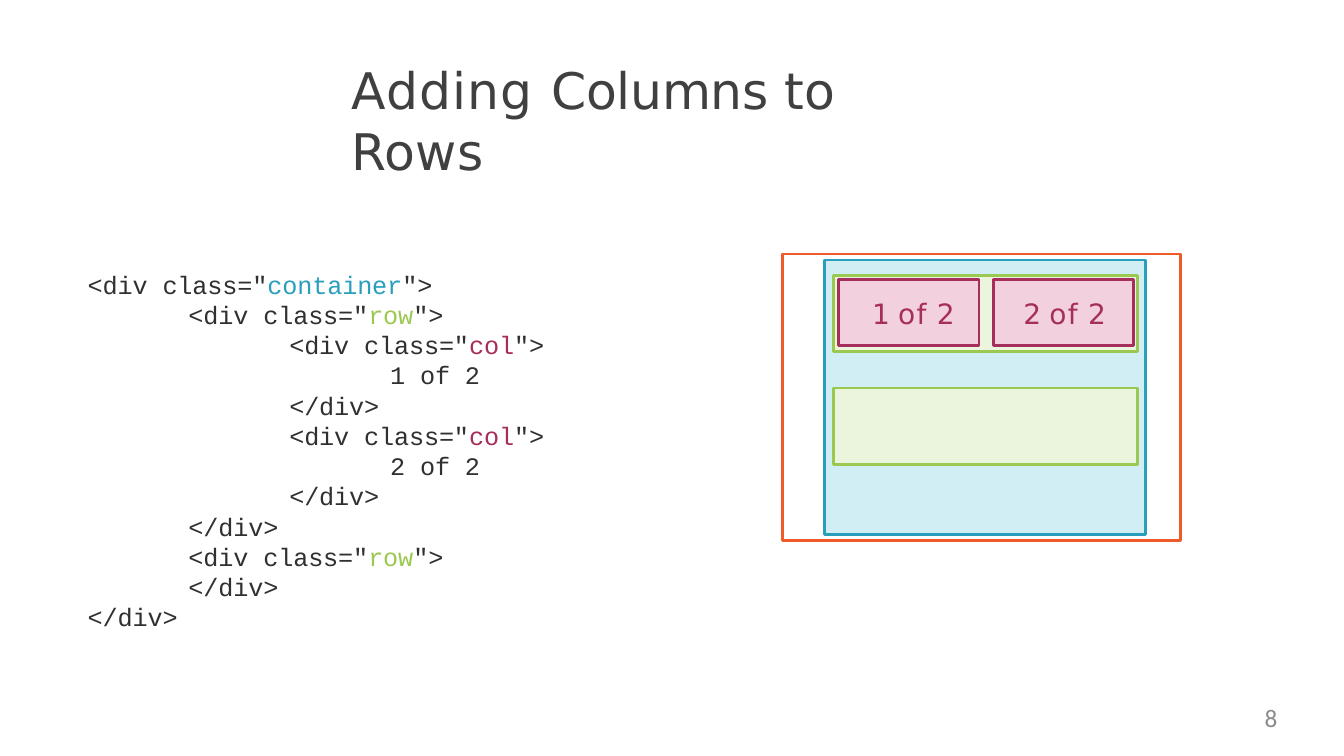
from pptx import Presentation
from pptx.dml.color import RGBColor
from pptx.enum.shapes import MSO_SHAPE
from pptx.enum.text import MSO_ANCHOR, PP_ALIGN
from pptx.util import Pt

RECTANGLE = MSO_SHAPE.RECTANGLE
TOP, MIDDLE = MSO_ANCHOR.TOP, MSO_ANCHOR.MIDDLE
LEFT, RIGHT = PP_ALIGN.LEFT, PP_ALIGN.RIGHT
PX = 9144  # 100 px to the inch

THEME = {
    "title": "404040", "code": "303030", "number": "8C8C8C",
    "page": "F05A28",
    "container": "2A9FBC", "container_fill": "D1EEF5",
    "row": "9BC850", "row_fill": "EBF4DC",
    "col": "A62E5C", "col_fill": "F2D0DD",
    "sans": "DejaVu Sans", "mono": "Courier New", "plain": "Calibri",
    "title_size": 36, "label_size": 20, "code_size": 18, "number_size": 18,
    "code_pitch": 21.6, "outline": 2,
}


def add_run(paragraph, text, font, size, color, spacing=0):
    """Add one styled run; spacing is in points."""
    run = paragraph.add_run()
    run.text = text
    run.font.name = THEME[font]
    run.font.size = Pt(THEME[size])
    run.font.color.rgb = RGBColor.from_string(THEME[color])
    if spacing:
        run.font._element.set("spc", str(round(spacing * 100)))


def set_frame(shape, anchor, left=0, top=0):
    """Prepare a text frame and return its first paragraph."""
    frame = shape.text_frame
    frame.word_wrap = True
    frame.vertical_anchor = anchor
    frame.margin_left, frame.margin_top = left * PX, top * PX
    frame.margin_right = frame.margin_bottom = 0
    paragraph = frame.paragraphs[0]
    paragraph.alignment = LEFT
    return paragraph


presentation = Presentation()
presentation.slide_width, presentation.slide_height = 1333 * PX, 750 * PX
slide = presentation.slides.add_slide(presentation.slide_layouts[6])

# Title
title = slide.shapes.add_textbox(348 * PX, 57 * PX, 615 * PX, 120 * PX)
paragraph = set_frame(title, TOP, left=1, top=2)
for text, spacing in [("Adding ", 0.8), ("Columns ", -0.2), ("to ", 0.4), ("Rows", 0.2)]:
    add_run(paragraph, text, "sans", "title_size", "title", spacing)

# Code listing: nesting level and either a class name or literal text
CODE_LINES = [
    (0, "container", None), (1, "row", None),
    (2, "col", None), (3, None, "1 of 2"), (2, None, "</div>"),
    (2, "col", None), (3, None, "2 of 2"), (2, None, "</div>"),
    (1, None, "</div>"), (1, "row", None), (1, None, "</div>"),
    (0, None, "</div>"),
]
code = slide.shapes.add_textbox(86 * PX, 266 * PX, 457 * PX, 363 * PX)
paragraph = set_frame(code, TOP, top=1)
for index, (level, class_name, text) in enumerate(CODE_LINES):
    if index:
        paragraph = code.text_frame.add_paragraph()
    paragraph.line_spacing = Pt(THEME["code_pitch"])
    properties = paragraph._p.get_or_add_pPr()
    properties.set("marL", str((1 + 100 * level) * PX))
    properties.set("indent", "0")
    if class_name:
        parts = [('<div class="', "code"), (class_name, class_name), ('">', "code")]
    else:
        parts = [(text, "code")]
    for part, color in parts:
        add_run(paragraph, part, "mono", "code_size", color, -0.1)

# Grid diagram: box, outline colour, fill colour, label number and its inset
BOXES = [
    ((776, 252, 395, 284), "page", None, None, 0),
    ((818, 258, 318, 272), "container", "container_fill", None, 0),
    ((827, 273, 301, 76), "row", "row_fill", None, 0),
    ((827, 385, 301, 76), "row", "row_fill", None, 0),
    ((832, 277, 139, 66), "col", "col_fill", "1 ", 33),
    ((985, 277, 139, 66), "col", "col_fill", "2 ", 30),
]
for box, outline, fill, number, inset in BOXES:
    shape = slide.shapes.add_shape(RECTANGLE, *[length * PX for length in box])
    shape.shadow.inherit = False
    shape.line.color.rgb = RGBColor.from_string(THEME[outline])
    shape.line.width = Pt(THEME["outline"])
    if fill:
        shape.fill.solid()
        shape.fill.fore_color.rgb = RGBColor.from_string(THEME[fill])
    else:
        shape.fill.background()
    if number:
        paragraph = set_frame(shape, MIDDLE, left=inset, top=1)
        for text, spacing in [(number, -0.5), ("o", 0.9), ("f ", 0.5), ("2", -0.5)]:
            add_run(paragraph, text, "sans", "label_size", "col", spacing)

# Slide number
slide_number = slide.shapes.add_textbox(960 * PX, 697 * PX, 307 * PX, 38 * PX)
paragraph = set_frame(slide_number, TOP)
paragraph.alignment = RIGHT
add_run(paragraph, "8", "plain", "number_size", "number")

presentation.save("out.pptx")
